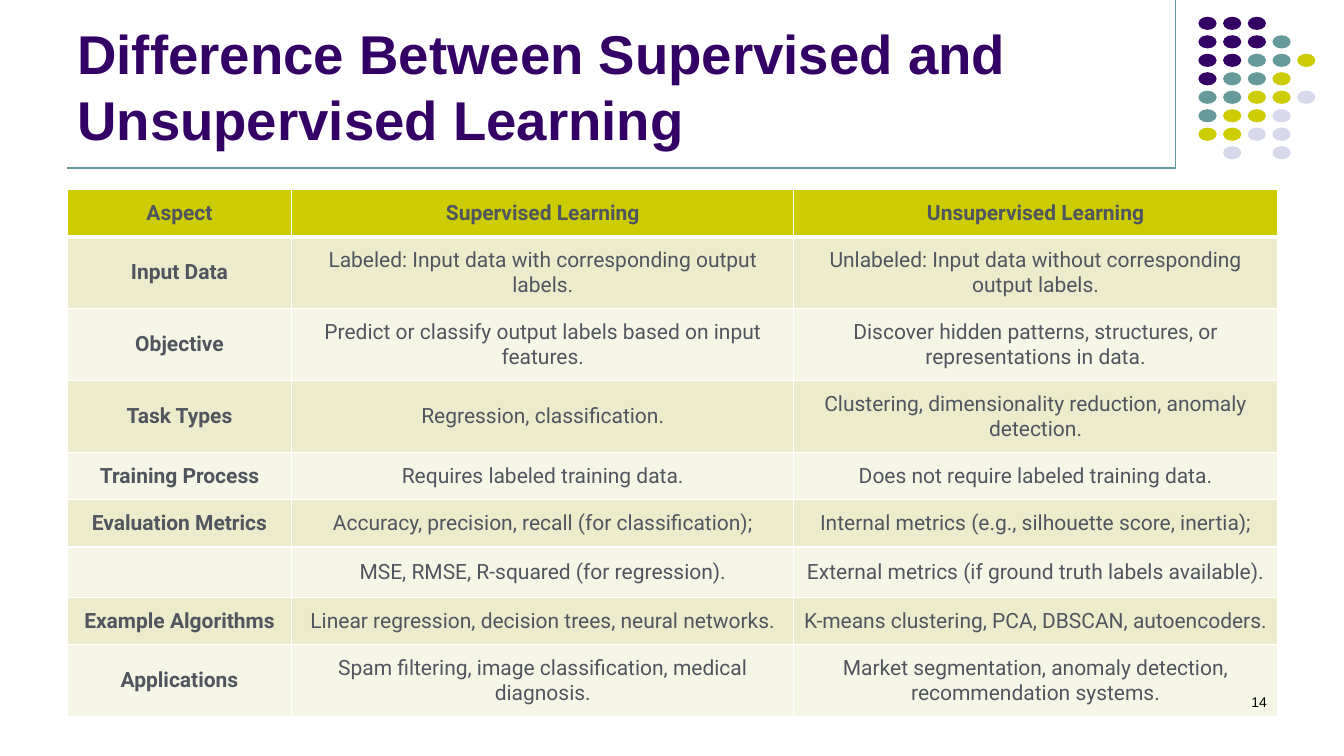
"""Build the slide that compares supervised and unsupervised learning."""
from lxml.etree import SubElement
from pptx import Presentation
from pptx.dml.color import RGBColor
from pptx.enum.shapes import MSO_CONNECTOR, MSO_SHAPE
from pptx.enum.text import MSO_ANCHOR, MSO_AUTO_SIZE, PP_ALIGN
from pptx.oxml.ns import qn
from pptx.util import Pt

PURPLE = RGBColor(0x33, 0x00, 0x66)
TEAL = RGBColor(0x66, 0x99, 0x99)
LIME = RGBColor(0xCC, 0xCC, 0x00)
LAVENDER = RGBColor(0xD8, 0xD8, 0xEC)
DARK_BAND = RGBColor(0xEC, 0xEC, 0xCC)
LIGHT_BAND = RGBColor(0xF6, 0xF6, 0xE7)
GRAY = RGBColor(0x51, 0x56, 0x5E)
BLACK = RGBColor(0x00, 0x00, 0x00)
WHITE = RGBColor(0xFF, 0xFF, 0xFF)

DOT_COLORS = {"P": PURPLE, "T": TEAL, "L": LIME, "V": LAVENDER}
DOT_ROWS = ["PPP", "PPPT", "PPTTL", "PTTL", "TTLLV", "TLLV", "LLVV", ".V.V"]

COLUMN_WIDTHS = [160.5, 358.5, 345.5]
ONE_LINE, TWO_LINES = 33.7, 51.4
TABLE_ROWS = [
    (ONE_LINE, "Aspect", "Supervised Learning", "Unsupervised Learning"),
    (TWO_LINES, "Input Data", "Labeled: Input data with corresponding output labels.",
     "Unlabeled: Input data without corresponding output labels."),
    (TWO_LINES, "Objective", "Predict or classify output labels based on input features.",
     "Discover hidden patterns, structures, or representations in data."),
    (TWO_LINES, "Task Types", "Regression, classification.",
     "Clustering, dimensionality reduction, anomaly detection."),
    (ONE_LINE, "Training Process", "Requires labeled training data.",
     "Does not require labeled training data."),
    (ONE_LINE, "Evaluation Metrics", "Accuracy, precision, recall (for classification);",
     "Internal metrics (e.g., silhouette score, inertia);"),
    (ONE_LINE, "", "MSE, RMSE, R-squared (for regression).",
     "External metrics (if ground truth labels available)."),
    (ONE_LINE, "Example Algorithms", "Linear regression, decision trees, neural networks.",
     "K-means clustering, PCA, DBSCAN, autoencoders."),
    (TWO_LINES, "Applications", "Spam filtering, image classification, medical diagnosis.",
     "Market segmentation, anomaly detection, recommendation systems."),
]


def write(text_frame, text, *, font, size, color, bold=False, align=PP_ALIGN.LEFT):
    paragraph = text_frame.paragraphs[0]
    paragraph.alignment = align
    run = paragraph.add_run()
    run.text = text
    run.font.name = font
    run.font.size = Pt(size)
    run.font.bold = bold
    run.font.color.rgb = color


def add_border(cell, side, width):
    line = SubElement(cell._tc.get_or_add_tcPr(), qn(f"a:{side}"), w=str(Pt(width)))
    fill = SubElement(line, qn("a:solidFill"))
    SubElement(fill, qn("a:srgbClr"), val=str(WHITE))


presentation = Presentation()
presentation.slide_width = Pt(960)
presentation.slide_height = Pt(540)
slide = presentation.slides.add_slide(presentation.slide_layouts[5])

for start, end in [((840, 0), (840, 120)), ((48, 120), (840, 120))]:
    rule = slide.shapes.add_connector(
        MSO_CONNECTOR.STRAIGHT, *(Pt(value) for value in start + end))
    rule.line.color.rgb = TEAL
    rule.line.width = Pt(0.75)
    SubElement(rule._element.spPr, qn("a:effectLst"))

for row_index, dot_row in enumerate(DOT_ROWS):
    for column_index, code in enumerate(dot_row):
        if code in DOT_COLORS:
            dot = slide.shapes.add_shape(
                MSO_SHAPE.OVAL, Pt(856 + 17.64 * column_index),
                Pt(12 + 13.2 * row_index), Pt(13), Pt(9.4))
            dot.shadow.inherit = False
            dot.fill.solid()
            dot.fill.fore_color.rgb = DOT_COLORS[code]
            dot.line.fill.background()

title = slide.shapes.title
title.left, title.top, title.width, title.height = Pt(48), Pt(9.5), Pt(792), Pt(102)
title.text_frame.auto_size = MSO_AUTO_SIZE.NONE
title.text_frame.word_wrap = True
title.text_frame.vertical_anchor = MSO_ANCHOR.BOTTOM
write(title.text_frame, "Difference Between Supervised and Unsupervised Learning",
      font="Arial", size=39, color=PURPLE, bold=True)

table = slide.shapes.add_table(
    len(TABLE_ROWS), len(COLUMN_WIDTHS), Pt(48), Pt(135.5),
    Pt(sum(COLUMN_WIDTHS)), Pt(sum(row[0] for row in TABLE_ROWS))).table
for column, width in zip(table.columns, COLUMN_WIDTHS):
    column.width = Pt(width)

for row_index, (height, *texts) in enumerate(TABLE_ROWS):
    table.rows[row_index].height = Pt(height)
    is_header = row_index == 0
    band = LIME if is_header else DARK_BAND if row_index % 2 else LIGHT_BAND
    for column_index, text in enumerate(texts):
        cell = table.cell(row_index, column_index)
        cell.margin_left = cell.margin_right = Pt(6)
        cell.margin_top = cell.margin_bottom = Pt(8)
        cell.vertical_anchor = MSO_ANCHOR.MIDDLE
        write(cell.text_frame, text, font="Roboto", size=15, color=GRAY,
              bold=is_header or column_index == 0, align=PP_ALIGN.CENTER)
        for side in ("lnL", "lnR", "lnT", "lnB"):
            thick = (side == "lnB" and is_header) or (side == "lnT" and row_index == 1)
            add_border(cell, side, 3 if thick else 1)
        cell.fill.solid()
        cell.fill.fore_color.rgb = band

page_number = slide.shapes.add_textbox(Pt(688), Pt(492), Pt(224), Pt(36))
page_number.text_frame.word_wrap = True
write(page_number.text_frame, "14", font="Arial", size=10, color=BLACK, align=PP_ALIGN.RIGHT)

presentation.save("out.pptx")
